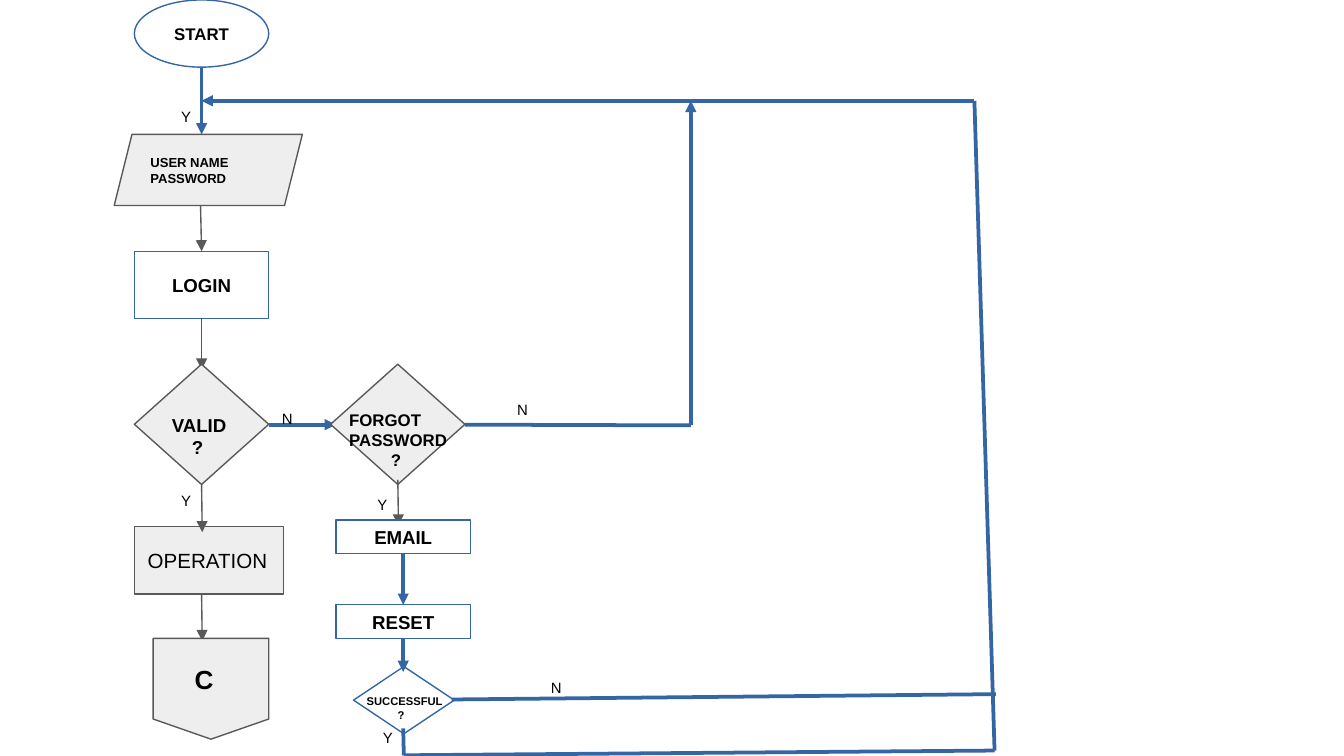
from lxml.etree import SubElement
from pptx import Presentation
from pptx.dml.color import RGBColor
from pptx.enum.shapes import MSO_CONNECTOR as Connector, MSO_SHAPE as Shape
from pptx.enum.text import MSO_ANCHOR as Anchor, PP_ALIGN as Align
from pptx.oxml.ns import qn
from pptx.util import Inches, Pt

BLUE = RGBColor(0x34, 0x65, 0xA4)
GREY = RGBColor(0x59, 0x59, 0x59)
PALE = RGBColor(0xEE, 0xEE, 0xEE)
WHITE = RGBColor(0xFF, 0xFF, 0xFF)
BLACK = RGBColor(0, 0, 0)

# Quarter-inch grid: all positions below are in columns and rows
COLUMNS, ROWS = 40, 22.5
CELL = Inches(0.25)
TOP, BOTTOM = 0, 2


def grid(*lengths):
    return [round(length * CELL) for length in lengths]


class Flowchart:
    font = "Arial"
    strokes = {BLUE: Pt(0), GREY: Pt(0.75)}

    def __init__(self, slide):
        self.slide = slide

    def add_text(self, shape, lines, size, bold, align=Align.LEFT, indent=0,
                 inset=0.05, wrap=True, anchor=Anchor.MIDDLE):
        """Fill a shape with paragraphs; the last one may be indented."""
        frame = shape.text_frame
        frame.word_wrap = wrap
        frame.vertical_anchor = anchor
        frame.margin_left = frame.margin_right = Inches(0.1)
        frame.margin_top = frame.margin_bottom = Inches(inset)
        for number, line in enumerate(lines):
            paragraph = frame.add_paragraph() if number else frame.paragraphs[0]
            paragraph.alignment = align
            run = paragraph.add_run()
            run.text = line
            run.font.name = self.font
            run.font.size = Pt(size)
            run.font.bold = bold
            run.font.color.rgb = BLACK
        if indent:
            properties = paragraph._p.get_or_add_pPr()
            properties.set("marL", str(Inches(indent)))
            properties.set("indent", "0")

    def node(self, kind, box, fill, stroke):
        shape = self.slide.shapes.add_shape(kind, *grid(*box))
        shape.shadow.inherit = False
        shape.fill.solid()
        shape.fill.fore_color.rgb = fill
        shape.line.color.rgb = stroke
        shape.line.width = self.strokes[stroke]
        return shape

    def white_node(self, kind, box, text, size=10):
        shape = self.node(kind, box, WHITE, BLUE)
        self.add_text(shape, [text], size, True, Align.CENTER, wrap=False)
        return shape

    def grey_node(self, kind, box, lines=(), size=10, bold=True, indent=0):
        shape = self.node(kind, box, PALE, GREY)
        if lines:
            self.add_text(shape, lines, size, bold, indent=indent, inset=0.1)
        return shape

    def label(self, box, lines, size=8, bold=False, indent=0):
        shape = self.slide.shapes.add_textbox(*grid(*box))
        self.add_text(shape, lines, size, bold, indent=indent, anchor=Anchor.TOP)

    def line(self, start, end, stroke=BLUE, arrow=True, source=None, target=None):
        """Draw a line; source and target are rectangles to join."""
        connector = self.slide.shapes.add_connector(
            Connector.STRAIGHT, *grid(*start, *end))
        connector.line.color.rgb = stroke
        connector.line.width = self.strokes[stroke]
        properties = connector._element.spPr
        if arrow:
            SubElement(properties.find(qn("a:ln")), qn("a:tailEnd"),
                       type="triangle")
        SubElement(properties, qn("a:effectLst"))
        if source:
            connector.begin_connect(source, BOTTOM)
        if target:
            connector.end_connect(target, TOP)


presentation = Presentation()
presentation.slide_width, presentation.slide_height = grid(COLUMNS, ROWS)
chart = Flowchart(presentation.slides.add_slide(presentation.slide_layouts[6]))

# Login column
chart.grey_node(Shape.RECTANGLE, (4, 15.68, 4.44, 2), ["OPERATION"], 11, False)
chart.white_node(Shape.OVAL, (4, 0, 4, 2), "START", 9)
chart.line((6, 2), (6, 4))
credentials = chart.grey_node(Shape.PARALLELOGRAM, (3.4, 4, 5.6, 2.12),
                              ["USER NAME", "PASSWORD"], 7)
credentials.adjustments[0] = 0.25
login = chart.white_node(Shape.RECTANGLE, (4, 7.48, 4, 2), "LOGIN")
chart.line((5.97, 6.12), (6, 7.5), GREY, target=login)
chart.line((6, 9.48), (6, 11), GREY, source=login)
chart.grey_node(Shape.DIAMOND, (4, 10.84, 4, 3.58))
chart.line((6, 14.44), (6.02, 15.84), GREY)
chart.line((6, 17.68), (6.02, 19.08), GREY)
chart.grey_node(Shape.FLOWCHART_OFFPAGE_CONNECTOR, (4.56, 19, 3.44, 3),
                ["C"], 14, indent=0.21)

# Password recovery column
chart.line((8, 12.64), (10, 12.64))
chart.grey_node(Shape.DIAMOND, (9.84, 10.84, 4, 3.58))
chart.label((4.72, 12.12, 3, 1.64), ["VALID", "?"], 10, True, 0.15)
chart.label((10, 12, 4, 2.64), ["FORGOT", "PASSWORD", "?"], 9, True, 0.31)
chart.line((11.84, 14.28), (11.86, 15.64), GREY)
email = chart.white_node(Shape.RECTANGLE, (10, 15.48, 4, 1), "EMAIL")
reset = chart.white_node(Shape.RECTANGLE, (10, 18, 4, 1), "RESET")
chart.line((12, 16.48), (12, 18), source=email, target=reset)
chart.node(Shape.DIAMOND, (10.52, 19.84, 3, 2), WHITE, BLUE)
chart.line((12, 19), (12, 20), source=reset)
chart.label((10.52, 20.48, 3.48, 1.84), ["SUCCESSFUL", "?"], 6, True, 0.23)

# Return paths to the login
for start, end in [((12.02, 22.48), (12, 21.68)),
                   ((12.02, 22.48), (29.6, 22.34)),
                   ((13.44, 20.82), (29.64, 20.66)),
                   ((13.84, 12.64), (20.56, 12.66)),
                   ((29, 3), (29.6, 22.34))]:
    chart.line(start, end, arrow=False)
chart.line((29, 3), (6, 3))
chart.line((20.56, 12.64), (20.56, 3))

# Yes and no labels
for answer, column, row in [("Y", 10.84, 14.56), ("Y", 5, 3), ("Y", 5, 14.44),
                            ("Y", 11, 21.48), ("N", 15, 11.72), ("N", 16, 20),
                            ("N", 8, 12)]:
    chart.label((column, row, 1.08, 0.88), [answer])

presentation.save("out.pptx")
